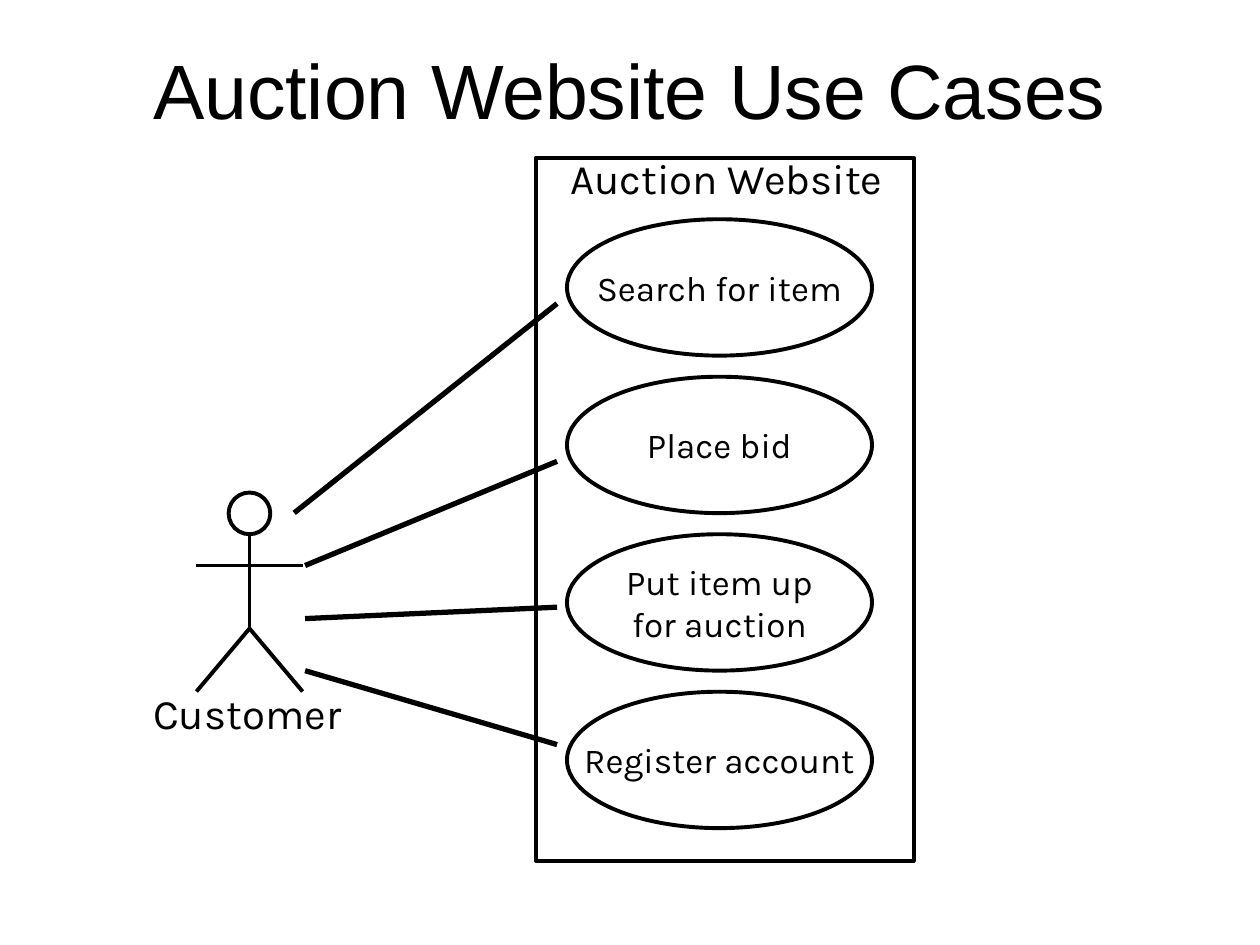
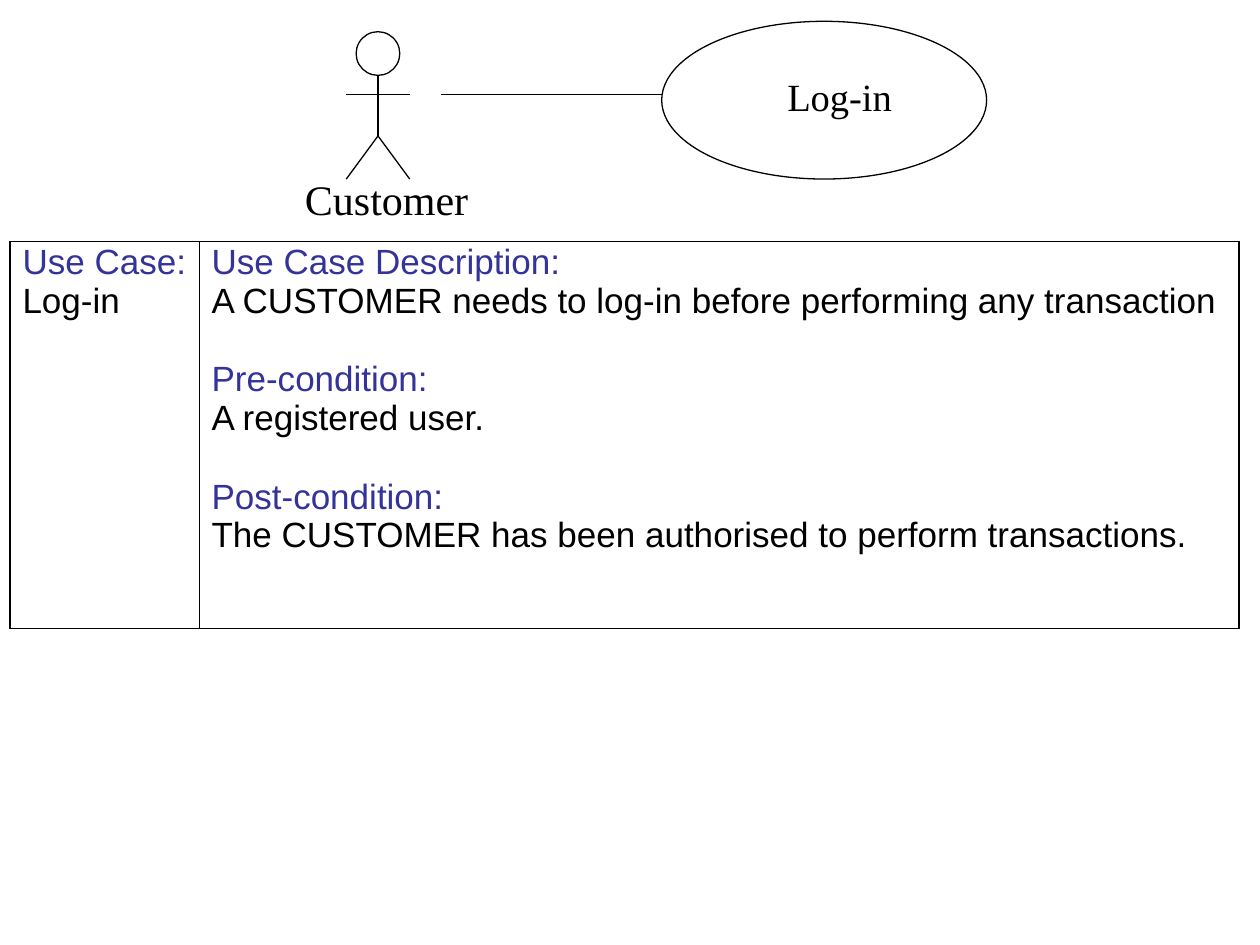
from pptx import Presentation
from pptx.dml.color import RGBColor
from pptx.enum.shapes import MSO_CONNECTOR, MSO_SHAPE
from pptx.enum.text import MSO_ANCHOR, PP_ALIGN
from pptx.oxml import parse_xml
from pptx.oxml.ns import nsdecls
from pptx.util import Cm, Pt

BLACK = RGBColor(0x00, 0x00, 0x00)
HEADING = RGBColor(0x33, 0x33, 0x99)


def add_line(shapes, x1, y1, x2, y2, width):
    ln = shapes.add_connector(MSO_CONNECTOR.STRAIGHT, Cm(x1), Cm(y1), Cm(x2), Cm(y2))
    ln.line.color.rgb = BLACK
    ln.line.width = Pt(width)
    ln._element.spPr.append(parse_xml(f"<a:effectLst {nsdecls('a')}/>"))


def add_box(shapes, kind, box, width=0, lines=(), font="Karla", size=20):
    """Add an outlined shape, or a text box when kind is None; box is in cm."""
    place = [Cm(v) for v in box]
    if kind is None:
        sp = shapes.add_textbox(*place)
    else:
        sp = shapes.add_shape(kind, *place)
        sp.shadow.inherit = False
        sp.fill.background()
        sp.line.color.rgb = BLACK
        sp.line.width = Pt(width)
    tf = sp.text_frame
    tf.word_wrap = False
    for i, text in enumerate(lines):
        p = tf.add_paragraph() if i else tf.paragraphs[0]
        p.alignment = PP_ALIGN.CENTER
        r = p.add_run()
        r.text = text
        r.font.name, r.font.size = font, Pt(size)
        r.font.color.rgb = BLACK


prs = Presentation()
prs.slide_width, prs.slide_height = Cm(25.4), Cm(19.05)
overview = prs.slides.add_slide(prs.slide_layouts[5])
login = prs.slides.add_slide(prs.slide_layouts[6])

# Customer stick figure on both slides
actors = [
    dict(slide=overview, x=5.03, head=9.93, size=0.84, arms=11.4, hip=12.67,
         feet=13.94, reach=1.07, width=2.25, label=(2.79, 13.74, 4.39, 1.27), font="Karla"),
    dict(slide=login, x=7.62, head=0.64, size=0.88, arms=1.9, hip=2.74,
         feet=3.61, reach=0.64, width=0.75, label=(5.61, 3.38, 4.37, 1.27),
         font="Times New Roman"),
]
for a in actors:
    shapes = a["slide"].shapes.add_group_shape().shapes
    x, reach, hip, feet = a["x"], a["reach"], a["hip"], a["feet"]
    add_box(shapes, MSO_SHAPE.OVAL,
            (x - a["size"] / 2, a["head"], a["size"], a["size"]), a["width"])
    add_line(shapes, x, a["head"] + a["size"], x, hip, a["width"])
    add_line(shapes, x - reach, a["arms"], x + reach, a["arms"], a["width"])
    for side in (-reach, reach):
        add_line(shapes, x, hip, x + side, feet, a["width"])
    add_box(shapes, None, a["label"], lines=["Customer"], font=a["font"], size=24)

# Slide 1: use case overview
title = overview.shapes.title
title.left, title.top, title.width, title.height = Cm(1.27), Cm(0.2), Cm(22.86), Cm(3.18)
title.text_frame.vertical_anchor = MSO_ANCHOR.MIDDLE
p = title.text_frame.paragraphs[0]
p.alignment = PP_ALIGN.CENTER
r = p.add_run()
r.text = "Auction Website Use Cases"
r.font.name, r.font.size = "Arial", Pt(44)
r.font.color.rgb = BLACK

add_box(overview.shapes, MSO_SHAPE.RECTANGLE, (10.8, 3.18, 7.62, 14.17), 2.25)
add_box(overview.shapes, None, (11.18, 2.95, 6.93, 1.27), lines=["Auction Website"], size=24)

# label lines, then the link's start x, start y and end y
use_cases = [
    (["Search for item"], 5.93, 10.34, 6.12),
    (["Place bid"], 6.15, 11.4, 9.3),
    (["Put item up", "for auction"], 6.15, 12.47, 12.24),
    (["Register account"], 6.15, 13.52, 15.01),
]
for i, (lines, x1, y1, y2) in enumerate(use_cases):
    add_box(overview.shapes, MSO_SHAPE.OVAL, (11.43, 4.42 + i * 3.175, 6.15, 2.75), 2.25, lines)
    add_line(overview.shapes, x1, y1, 11.23, y2, 3)

# Slide 2: log-in use case
add_box(login.shapes, MSO_SHAPE.OVAL, (13.34, 0.43, 6.55, 3.18), 0.75)
add_box(login.shapes, None, (14.6, 1.35, 4.65, 1.19), lines=["Log-in"],
        font="Times New Roman", size=22)
add_line(login.shapes, 8.89, 1.9, 13.34, 1.9, 0.75)

table = login.shapes.add_table(1, 2, Cm(0.2), Cm(4.87), Cm(24.77), Cm(7.8)).table
table.first_row = table.horz_banding = False
columns = [
    (3.81, [("Use Case:", "Log-in")], dict(L=1.08, R=0.45, T=0.45, B=1.08)),
    (20.96, [
        ("Use Case Description:", "A CUSTOMER needs to log-in before performing any transaction"),
        ("Pre-condition:", "A registered user."),
        ("Post-condition:", "The CUSTOMER has been authorised to perform transactions."),
    ], dict(L=0.45, R=1.08, T=0.45, B=1.08)),
]
for col, (width, sections, borders) in enumerate(columns):
    table.columns[col].width = Cm(width)
    cell = table.cell(0, col)
    tf = cell.text_frame
    for i, section in enumerate(sections):
        for j, (text, color) in enumerate(zip(section, (HEADING, BLACK))):
            p = tf.add_paragraph() if i or j else tf.paragraphs[0]
            p.line_spacing = 0.85
            p.space_before = Pt(25.9 if i and not j else 3.2)
            r = p.add_run()
            r.text = text
            r.font.name, r.font.size = "Arial", Pt(20)
            r.font.color.rgb = color
    tcPr = cell._tc.get_or_add_tcPr()
    for side, pts in borders.items():
        tcPr.append(parse_xml(
            f'<a:ln{side} {nsdecls("a")} w="{Pt(pts)}"><a:solidFill>'
            f'<a:srgbClr val="{BLACK}"/></a:solidFill></a:ln{side}>'))
    cell.fill.background()

prs.save("out.pptx")
